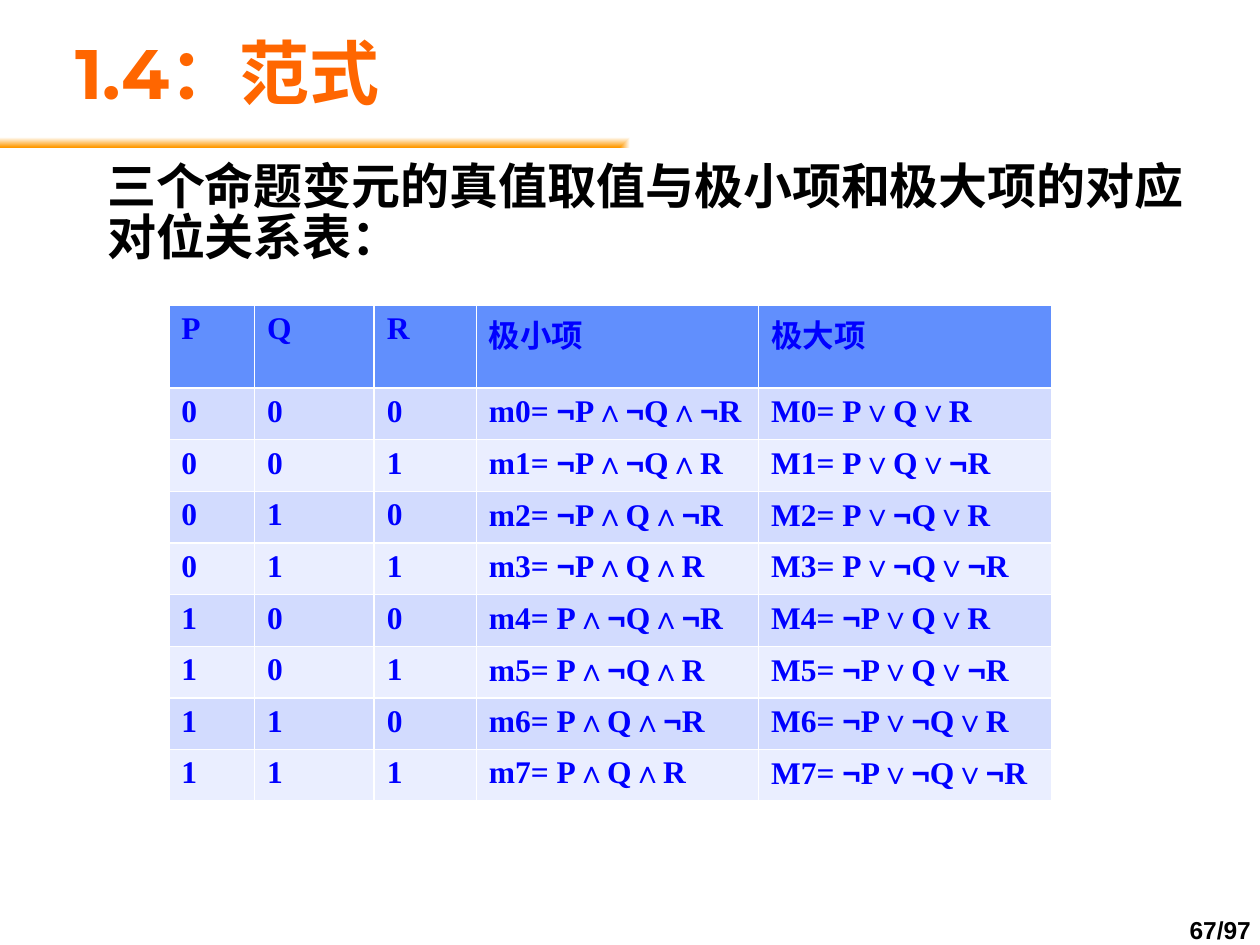
from dataclasses import dataclass
from itertools import groupby, product

from lxml.etree import SubElement
from pptx import Presentation
from pptx.dml.color import RGBColor
from pptx.enum.shapes import MSO_SHAPE
from pptx.enum.text import MSO_ANCHOR, MSO_AUTO_SIZE, PP_ALIGN
from pptx.oxml import parse_xml
from pptx.oxml.ns import nsdecls, qn
from pptx.util import Inches, Pt


@dataclass(frozen=True)
class Theme:
    title_color: str = "FF6600"
    text_color: str = "000000"
    table_color: str = "0000FF"
    rule_color: str = "FF9900"
    background: str = "FFFFFF"
    header_fill: str = "618FFD"
    band_fills: tuple = ("D2DBFE", "EAEEFF")
    title_font: str = "Montserrat"
    body_font: str = "Times New Roman"
    symbol_font: str = "Arial"
    title_size: int = 40
    body_size: int = 28
    table_size: int = 18
    number_size: int = 14


THEME = Theme()
VARIABLES = "PQR"
COLUMN_WIDTHS = (0.68, 0.95, 0.81, 2.24, 2.33)
HEADER_HEIGHT, ROW_HEIGHT = 0.66, 0.41


def place(shape, left, top, width, height):
    shape.left, shape.top = Inches(left), Inches(top)
    shape.width, shape.height = Inches(width), Inches(height)


def style(paragraph, name, size, color):
    font = paragraph.font
    font.name, font.size, font.bold = name, Pt(size), True
    font.color.rgb = RGBColor.from_string(color)


def fill_cell(cell, text, color):
    """Write the text, with each negation sign in the symbol font."""
    cell.fill.solid()
    cell.fill.fore_color.rgb = RGBColor.from_string(color)
    paragraph = cell.text_frame.paragraphs[0]
    style(paragraph, THEME.body_font, THEME.table_size, THEME.table_color)
    for is_negation, letters in groupby(text, lambda letter: letter == "¬"):
        run = paragraph.add_run()
        run.text = "".join(letters)
        if is_negation:
            run.font.name = THEME.symbol_font


def join_literals(bits, operator, negated_bit):
    return operator.join(
        "¬" + variable if bit == negated_bit else variable
        for variable, bit in zip(VARIABLES, bits)
    )


def truth_rows():
    """Yield the header, then each assignment with its minterm and maxterm."""
    yield [*VARIABLES, "极小项", "极大项"]
    for index, bits in enumerate(product((0, 1), repeat=len(VARIABLES))):
        minterm = f"m{index}= {join_literals(bits, '∧', 0)}"
        maxterm = f"M{index}= {join_literals(bits, '∨', 1)}"
        yield [*map(str, bits), minterm, maxterm]


def add_truth_table(slide):
    rows = list(truth_rows())
    table = slide.shapes.add_table(
        len(rows), len(COLUMN_WIDTHS), Inches(1.34), Inches(2.42),
        Inches(sum(COLUMN_WIDTHS)),
        Inches(HEADER_HEIGHT + ROW_HEIGHT * (len(rows) - 1)),
    ).table
    for column, width in zip(table.columns, COLUMN_WIDTHS):
        column.width = Inches(width)
    for index, texts in enumerate(rows):
        table.rows[index].height = Inches(ROW_HEIGHT if index else HEADER_HEIGHT)
        color = THEME.band_fills[(index - 1) % 2] if index else THEME.header_fill
        for cell, text in zip(table.rows[index].cells, texts):
            fill_cell(cell, text, color)


def add_title_rule(slide):
    """Draw the band that fades out from its lower left corner."""
    rule = slide.shapes.add_shape(
        MSO_SHAPE.RECTANGLE, 0, Inches(1.01), Inches(10), Inches(0.16))
    rule.shadow.inherit = False
    rule.line.fill.background()
    gradient = parse_xml(
        f'<a:gradFill {nsdecls("a")} rotWithShape="0"><a:gsLst>'
        f'<a:gs pos="0"><a:srgbClr val="{THEME.rule_color}"/></a:gs>'
        f'<a:gs pos="100000"><a:srgbClr val="{THEME.background}"/></a:gs>'
        '</a:gsLst><a:path path="rect">'
        '<a:fillToRect t="100000" r="100000"/></a:path></a:gradFill>')
    rule.element.spPr.find(qn("a:prstGeom")).addnext(gradient)


def add_page_number(slide, text):
    box = slide.shapes.add_textbox(
        Inches(9.33), Inches(7.25), Inches(0.71), Inches(0.3))
    frame = box.text_frame
    frame.word_wrap = False
    frame.vertical_anchor = MSO_ANCHOR.MIDDLE
    frame.text = text
    paragraph = frame.paragraphs[0]
    paragraph.alignment = PP_ALIGN.CENTER
    paragraph.line_spacing = 0.85
    style(paragraph, THEME.symbol_font, THEME.number_size, THEME.text_color)


def fill_placeholder(placeholder, text, line_spacing, anchor):
    frame = placeholder.text_frame
    frame.text = text
    frame.auto_size = MSO_AUTO_SIZE.NONE
    frame.vertical_anchor = anchor
    paragraph = frame.paragraphs[0]
    paragraph.alignment = PP_ALIGN.LEFT
    paragraph.line_spacing = line_spacing
    paragraph.space_before = Pt(0)
    return paragraph


def add_title(slide, text):
    title = slide.shapes.title
    place(title, 0.5, 0.25, 9, 0.7)
    paragraph = fill_placeholder(title, text, 0.93, MSO_ANCHOR.MIDDLE)
    style(paragraph, THEME.title_font, THEME.title_size, THEME.title_color)


def add_body(slide, text):
    body = slide.placeholders[1]
    place(body, 0.5, 1.25, 9.17, 6)
    paragraph = fill_placeholder(body, text, 0.87, MSO_ANCHOR.TOP)
    properties = paragraph._p.get_or_add_pPr()
    properties.set("marL", str(Inches(0.25)))
    properties.set("indent", "0")
    SubElement(properties, qn("a:buNone"))
    style(paragraph, THEME.body_font, THEME.body_size, THEME.text_color)


def main():
    presentation = Presentation()
    presentation.slide_width, presentation.slide_height = Inches(10), Inches(7.5)
    slide = presentation.slides.add_slide(presentation.slide_layouts[1])
    add_page_number(slide, "67/97")
    add_title_rule(slide)
    add_title(slide, "1.4：范式")
    add_body(slide, "三个命题变元的真值取值与极小项和极大项的对应对位关系表：")
    add_truth_table(slide)
    presentation.save("out.pptx")


if __name__ == "__main__":
    main()
